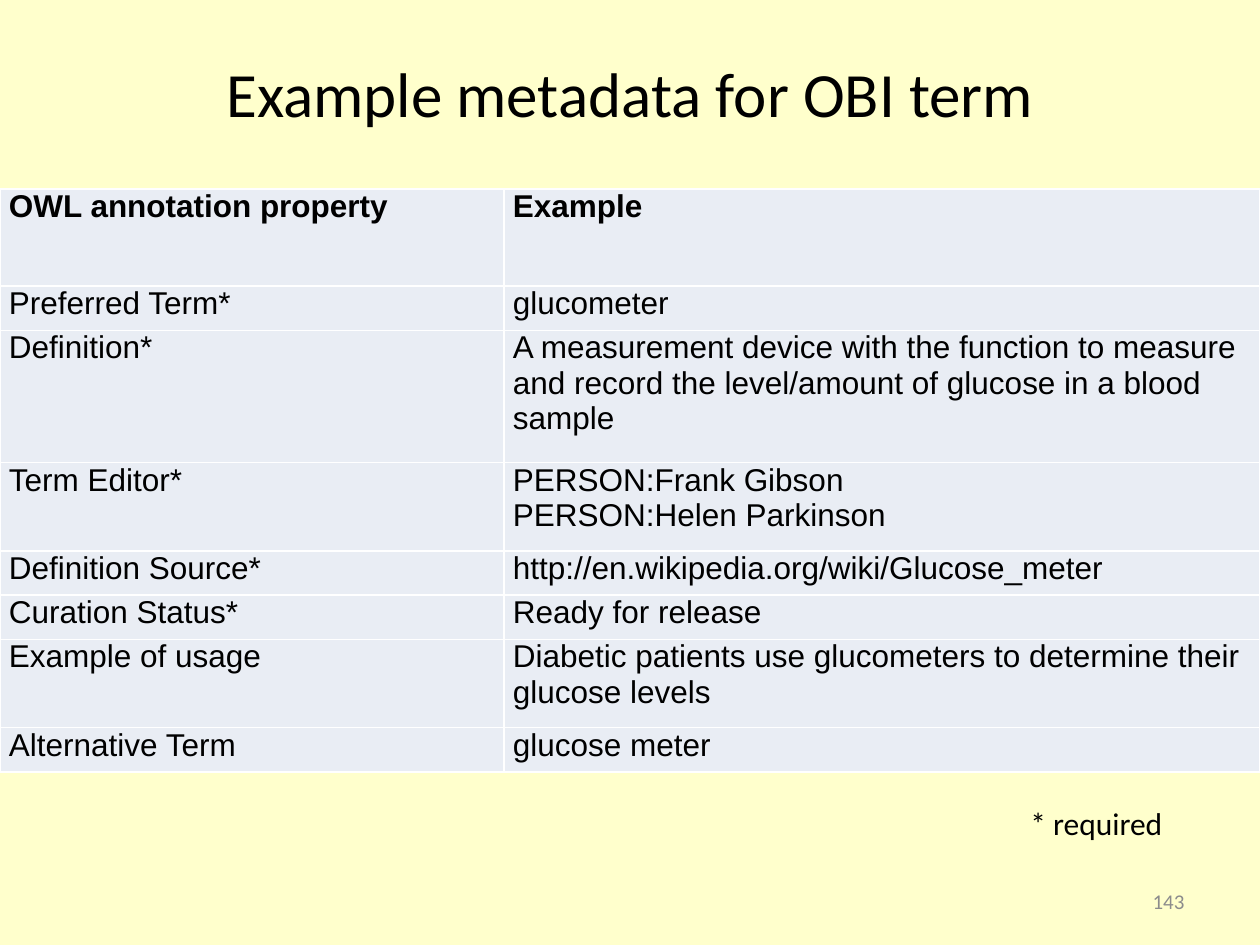
from dataclasses import dataclass

from lxml import etree
from pptx import Presentation
from pptx import util as u
from pptx.dml.color import RGBColor
from pptx.enum import text as t
from pptx.oxml import ns


@dataclass(frozen=True)
class Theme:
    background: str = "FFFFCC"
    cell: str = "E9EDF4"
    border: str = "FFFFFF"
    ink: str = "000000"
    muted: str = "8C8C8C"
    heading_font: str = "Calibri"
    table_font: str = "Arial"
    title_size: int = 36
    body_size: int = 18
    number_size: int = 12


@dataclass(frozen=True)
class Entry:
    label: str
    example: str
    lines: float = 1  # row height in text lines
    bold: bool = False


@dataclass(frozen=True)
class Label:
    wording: str
    place: tuple[float, float, float, float]  # left, top, width, height in cm
    size: int
    color: str
    align: t.PP_ALIGN
    anchor: t.MSO_ANCHOR


THEME = Theme()
LINE_HEIGHT = 0.89
COLUMN_WIDTHS = (10.16, 15.24)
ENTRIES = (
    Entry("OWL annotation property", "Example", 2.2, True),
    Entry("Preferred Term*", "glucometer"),
    Entry("Definition*", "A measurement device with the function to measure and record "
          "the level/amount of glucose in a blood sample", 3),
    Entry("Term Editor*", "PERSON:Frank Gibson\vPERSON:Helen Parkinson", 2),
    Entry("Definition Source*", "http://en.wikipedia.org/wiki/Glucose_meter"),
    Entry("Curation Status*", "Ready for release"),
    Entry("Example of usage",
          "Diabetic patients use glucometers to determine their glucose levels", 2),
    Entry("Alternative Term", "glucose meter"),
)
TITLE = Label("Example metadata for OBI term", (1.27, 0.28, 22.86, 3.18),
              THEME.title_size, THEME.ink, t.PP_ALIGN.CENTER, t.MSO_ANCHOR.MIDDLE)
LABELS = (
    Label("* required", (20.52, 16.08, 5.51, 1.02),
          THEME.body_size, THEME.ink, t.PP_ALIGN.LEFT, t.MSO_ANCHOR.TOP),
    Label("143", (18.21, 17.65, 5.92, 1.02),
          THEME.number_size, THEME.muted, t.PP_ALIGN.RIGHT, t.MSO_ANCHOR.MIDDLE),
)


def style_font(font, name: str, size: int, color: str, bold: bool = False) -> None:
    font.name, font.size, font.bold = name, u.Pt(size), bold
    font.color.rgb = RGBColor.from_string(color)


def fill_label(box, label: Label) -> None:
    box.left, box.top, box.width, box.height = map(u.Cm, label.place)
    frame = box.text_frame
    frame.word_wrap = True
    frame.auto_size = t.MSO_AUTO_SIZE.NONE
    frame.vertical_anchor = label.anchor
    para = frame.paragraphs[0]
    para.text = label.wording
    para.alignment = label.align
    style_font(para.font, THEME.heading_font, label.size, label.color)


def add_borders(cell) -> None:
    properties = cell._tc.get_or_add_tcPr()
    for index, side in enumerate(("lnL", "lnR", "lnT", "lnB")):
        line = etree.Element(ns.qn(f"a:{side}"), w=str(u.Pt(1)))
        fill = etree.SubElement(line, ns.qn("a:solidFill"))
        etree.SubElement(fill, ns.qn("a:srgbClr"), val=THEME.border)
        properties.insert(index, line)


def fill_cell(cell, wording: str, bold: bool) -> None:
    cell.margin_left = cell.margin_right = u.Cm(0.18)
    cell.margin_top = cell.margin_bottom = 0
    cell.fill.solid()
    cell.fill.fore_color.rgb = RGBColor.from_string(THEME.cell)
    add_borders(cell)
    para = cell.text_frame.paragraphs[0]
    para.text = wording
    style_font(para.font, THEME.table_font, THEME.body_size, THEME.ink, bold)


def add_metadata_table(page, entries: tuple[Entry, ...]) -> None:
    height = LINE_HEIGHT * sum(entry.lines for entry in entries)
    table = page.shapes.add_table(len(entries), len(COLUMN_WIDTHS), 0, u.Cm(3.81),
                                  u.Cm(sum(COLUMN_WIDTHS)), u.Cm(height)).table
    table.first_row = table.horz_banding = False
    for column, width in zip(table.columns, COLUMN_WIDTHS):
        column.width = u.Cm(width)
    for row, entry in zip(table.rows, entries):
        row.height = u.Cm(LINE_HEIGHT * entry.lines)
        for cell, wording in zip(row.cells, (entry.label, entry.example)):
            fill_cell(cell, wording, entry.bold)


def main() -> None:
    deck = Presentation()
    deck.slide_width, deck.slide_height = u.Cm(25.4), u.Cm(19.05)
    page = deck.slides.add_slide(deck.slide_layouts.get_by_name("Title Only"))
    page.background.fill.solid()
    page.background.fill.fore_color.rgb = RGBColor.from_string(THEME.background)

    # Title and term metadata
    fill_label(page.shapes.title, TITLE)
    add_metadata_table(page, ENTRIES)

    # Footnote and page number
    for label in LABELS:
        fill_label(page.shapes.add_textbox(0, 0, 0, 0), label)

    deck.save("out.pptx")


if __name__ == "__main__":
    main()
